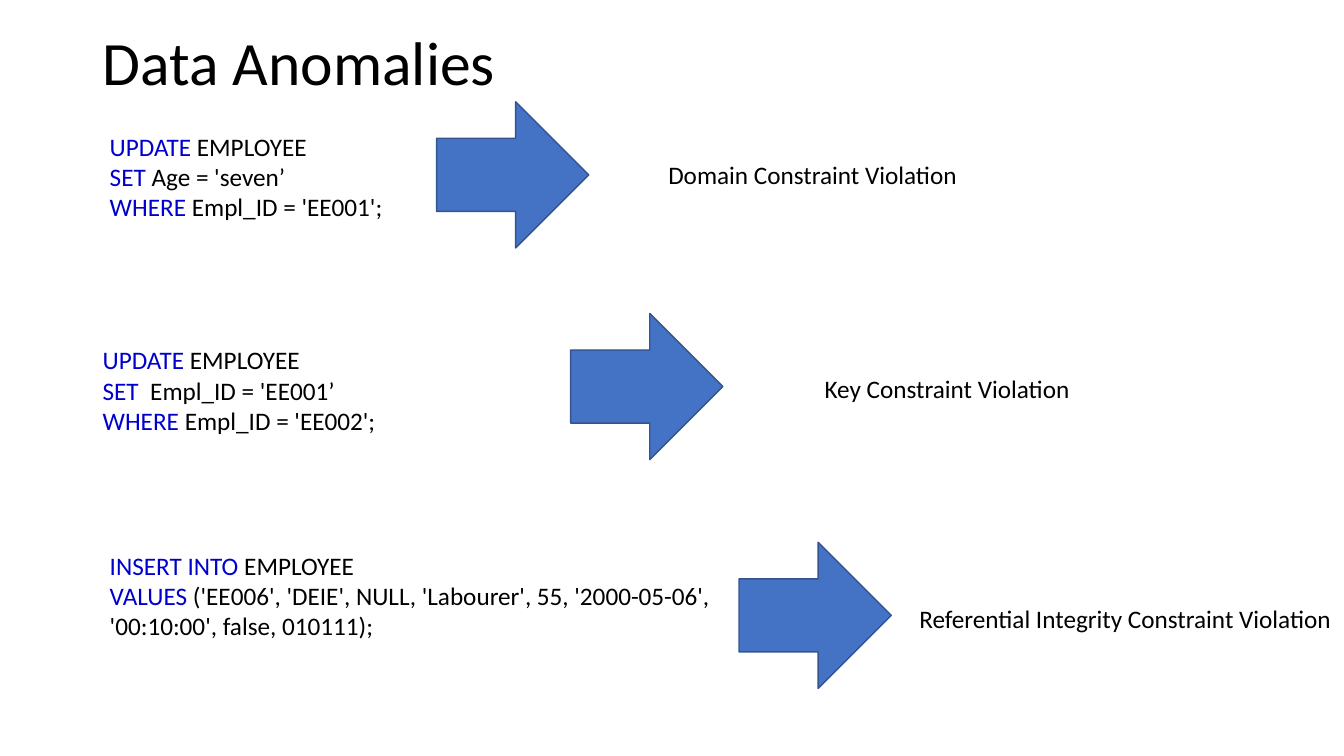
"""Build the Data Anomalies slide: SQL statements and the constraints they violate."""
from dataclasses import dataclass

from pptx import Presentation
from pptx import util as u
from pptx.dml.color import RGBColor
from pptx.enum import shapes, text
from pptx.slide import Slide

EMU_PER_PX = 9144
FONT = "Calibri"
BLACK = RGBColor(0x00, 0x00, 0x00)
KEYWORD_BLUE = RGBColor(0x00, 0x00, 0xCD)
ARROW_FILL = RGBColor(0x44, 0x72, 0xC4)
ARROW_LINE = RGBColor(0x32, 0x54, 0x91)
ARROW_WIDTH, ARROW_HEIGHT = 151, 145
CODE_WIDTH, CODE_HEIGHT = 667, 101
LABEL_HEIGHT = 40


@dataclass(frozen=True)
class Span:
    """A run of text in one colour."""

    words: str
    color: RGBColor = BLACK


@dataclass(frozen=True)
class Area:
    """A rectangle on the page in px."""

    left: int
    top: int
    width: int
    height: int

    def emu(self) -> list[u.Emu]:
        """Return left, top, width and height in EMU."""
        return [px(side) for side in (self.left, self.top, self.width, self.height)]


@dataclass(frozen=True)
class Anomaly:
    """A statement, the arrow after it and the violation it causes."""

    code: Area
    statement: list[tuple[str, str]]
    arrow: Area
    label: Area
    violation: str


def px(length: int) -> u.Emu:
    """Turn px into EMU."""
    return u.Emu(length * EMU_PER_PX)


def code_area(left: int, top: int) -> Area:
    """Return the area of a statement."""
    return Area(left, top, CODE_WIDTH, CODE_HEIGHT)


def arrow_area(left: int, top: int) -> Area:
    """Return the area of an arrow."""
    return Area(left, top, ARROW_WIDTH, ARROW_HEIGHT)


ANOMALIES = [
    Anomaly(
        code_area(99, 125),
        [("UPDATE", " EMPLOYEE"), ("SET", " Age = 'seven’"), ("WHERE ", "Empl_ID = 'EE001';")],
        arrow_area(433, 101),
        Area(653, 153, 310, LABEL_HEIGHT),
        "Domain Constraint Violation",
    ),
    Anomaly(
        code_area(92, 337),
        [("UPDATE ", "EMPLOYEE"), ("SET  ", "Empl_ID = 'EE001’"), ("WHERE ", "Empl_ID = 'EE002';")],
        arrow_area(566, 311),
        Area(808, 365, 266, LABEL_HEIGHT),
        "Key Constraint Violation",
    ),
    Anomaly(
        code_area(99, 541),
        [
            ("INSERT INTO ", "EMPLOYEE"),
            ("VALUES ", "('EE006', 'DEIE', NULL, 'Labourer', 55, '2000-05-06', "
                        "'00:10:00', false, 010111);"),
        ],
        arrow_area(733, 538),
        Area(902, 594, 433, LABEL_HEIGHT),
        "Referential Integrity Constraint Violation",
    ),
]


def add_text(page: Slide, area: Area, lines: list[list[Span]], size: int = 18,
             wrap: bool = True, anchor: text.MSO_ANCHOR = text.MSO_ANCHOR.TOP,
             spacing: float = 1.0) -> None:
    """Add a text box with one paragraph per line."""
    frame = page.shapes.add_textbox(*area.emu()).text_frame
    frame.word_wrap = wrap
    frame.vertical_anchor = anchor
    for index, line in enumerate(lines):
        para = frame.add_paragraph() if index else frame.paragraphs[0]
        para.line_spacing = spacing
        for span in line:
            run = para.add_run()
            run.text = span.words
            run.font.name = FONT
            run.font.size = u.Pt(size)
            run.font.color.rgb = span.color


def add_arrow(page: Slide, area: Area) -> None:
    """Add a block arrow pointing right."""
    arrow = page.shapes.add_shape(shapes.MSO_SHAPE.RIGHT_ARROW, *area.emu())
    arrow.shadow.inherit = False
    arrow.fill.solid()
    arrow.fill.fore_color.rgb = ARROW_FILL
    arrow.line.color.rgb = ARROW_LINE
    arrow.line.width = u.Pt(1)


def add_anomaly(page: Slide, anomaly: Anomaly) -> None:
    """Add a statement, its arrow and its violation."""
    lines = [[Span(keyword, KEYWORD_BLUE), Span(rest)] for keyword, rest in anomaly.statement]
    add_text(page, anomaly.code, lines)
    add_arrow(page, anomaly.arrow)
    add_text(page, anomaly.label, [[Span(anomaly.violation)]], wrap=False)


def main() -> None:
    """Build and save the deck."""
    deck = Presentation()
    deck.slide_width, deck.slide_height = px(1333), px(750)
    page = deck.slides.add_slide(deck.slide_layouts[6])
    add_text(page, Area(92, -8, 1150, 145), [[Span("Data Anomalies")]], size=44,
             anchor=text.MSO_ANCHOR.MIDDLE, spacing=0.9)
    for anomaly in ANOMALIES:
        add_anomaly(page, anomaly)
    deck.save("out.pptx")


if __name__ == "__main__":
    main()
